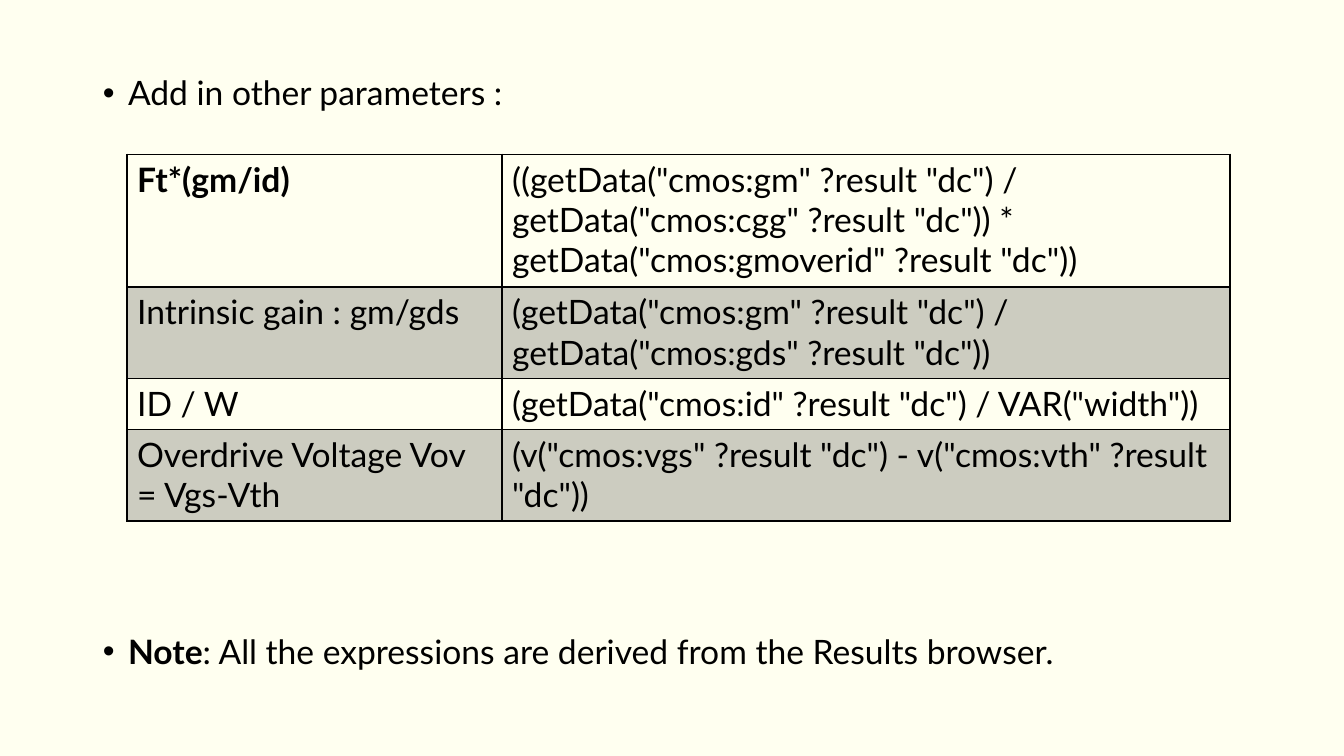
from lxml import etree
from pptx import Presentation
from pptx.dml.color import RGBColor
from pptx.enum.text import MSO_ANCHOR, MSO_AUTO_SIZE
from pptx.oxml import parse_xml
from pptx.oxml.ns import qn
from pptx.util import Inches, Pt

TOP = MSO_ANCHOR.TOP
NO_FIT = MSO_AUTO_SIZE.NONE
TITLE_AND_CONTENT = 1
A_NS = "http://schemas.openxmlformats.org/drawingml/2006/main"

W, H = 13.33, 7.5
FONT, SIZE = "Lato", 24
PAPER, INK = "FFFFF0", "000000"
BAND_OPACITY = 20
LINE, HEADER_LINE = 1, 2

NOTES_BOX = (0.92, 0.71, 11.5, 6.54)
NOTE_GAP = 373
TABLE_BOX = (1.26, 1.53, 10.94, 3.64)
COLUMN_SHARES = (0.34, 0.66)
ROW_LINES = (3, 2, 1, 2)
LINE_HEIGHT, CELL_PADDING = 0.405, 0.1

BULLETS = [
    [("Add in other parameters :", False)],
    [("Note", True),
     (": All the expressions are derived from the Results browser.", False)],
]
EXPRESSIONS = [
    ("Ft*(gm/id)",
     '((getData("cmos:gm" ?result "dc") / getData("cmos:cgg" ?result "dc"))'
     ' * getData("cmos:gmoverid" ?result "dc"))'),
    ("Intrinsic gain : gm/gds",
     '(getData("cmos:gm" ?result "dc") / getData("cmos:gds" ?result "dc"))'),
    ("ID / W", '(getData("cmos:id" ?result "dc") / VAR("width"))'),
    ("Overdrive Voltage Vov = Vgs-Vth",
     '(v("cmos:vgs" ?result "dc") - v("cmos:vth" ?result "dc"))'),
]


def color(hex_code):
    return RGBColor.from_string(hex_code)


def style_font(font, bold=False):
    font.name, font.size, font.bold = FONT, Pt(SIZE), bold
    font.color.rgb = color(INK)


def add_bullet(p):
    pPr = p._p.get_or_add_pPr()
    pPr.set("marL", str(Inches(0.25)))
    pPr.set("indent", str(-Inches(0.25)))
    etree.SubElement(pPr, qn("a:buFont"), typeface="Arial")
    etree.SubElement(pPr, qn("a:buChar"), char="•")


def fill_notes(body, box):
    body.left, body.top, body.width, body.height = map(Inches, box)
    tf = body.text_frame
    tf.word_wrap, tf.auto_size, tf.vertical_anchor = True, NO_FIT, TOP
    for i, parts in enumerate(BULLETS):
        p = tf.add_paragraph() if i else tf.paragraphs[0]
        add_bullet(p)
        p.line_spacing = 0.9
        p.space_before = Pt(NOTE_GAP if i else 0)
        for text, bold in parts:
            r = p.add_run()
            r.text = text
            style_font(r.font, bold)


def set_borders(cell, widths):
    """Draw the left, right, top and bottom edges with the given point widths."""
    tcPr = cell._tc.get_or_add_tcPr()
    for i, (side, width) in enumerate(zip("LRTB", widths)):
        tcPr.insert(i, parse_xml(
            f'<a:ln{side} xmlns:a="{A_NS}" w="{Pt(width)}"><a:solidFill>'
            f'<a:srgbClr val="{INK}"/></a:solidFill></a:ln{side}>'))


def shade(cell):
    cell.fill.solid()
    cell.fill.fore_color.rgb = color(INK)
    srgb = cell._tc.tcPr.find(qn("a:solidFill")).find(qn("a:srgbClr"))
    etree.SubElement(srgb, qn("a:alpha"), val=str(BAND_OPACITY * 1000))


def add_expression_table(s, box):
    frame = s.shapes.add_table(len(EXPRESSIONS), len(COLUMN_SHARES),
                               *map(Inches, box))
    table = frame.table
    table.first_row = table.horz_banding = False
    for column, share in zip(table.columns, COLUMN_SHARES):
        column.width = Inches(box[2] * share)
    for i, texts in enumerate(EXPRESSIONS):
        table.rows[i].height = Inches(ROW_LINES[i] * LINE_HEIGHT + CELL_PADDING)
        top = HEADER_LINE if i == 1 else LINE
        bottom = HEADER_LINE if i == 0 else LINE
        for j, text in enumerate(texts):
            cell = table.cell(i, j)
            cell.text = text
            style_font(cell.text_frame.paragraphs[0].runs[0].font,
                       bold=i == j == 0)
            if i % 2:
                shade(cell)
            else:
                cell.fill.background()
            set_borders(cell, (LINE, LINE, top, bottom))


def main():
    prs = Presentation()
    prs.slide_width, prs.slide_height = Inches(W), Inches(H)
    s = prs.slides.add_slide(prs.slide_layouts[TITLE_AND_CONTENT])
    s.background.fill.solid()
    s.background.fill.fore_color.rgb = color(PAPER)
    title = s.shapes.title._element
    title.getparent().remove(title)
    fill_notes(s.placeholders[1], NOTES_BOX)
    add_expression_table(s, TABLE_BOX)
    prs.save("out.pptx")


if __name__ == "__main__":
    main()
